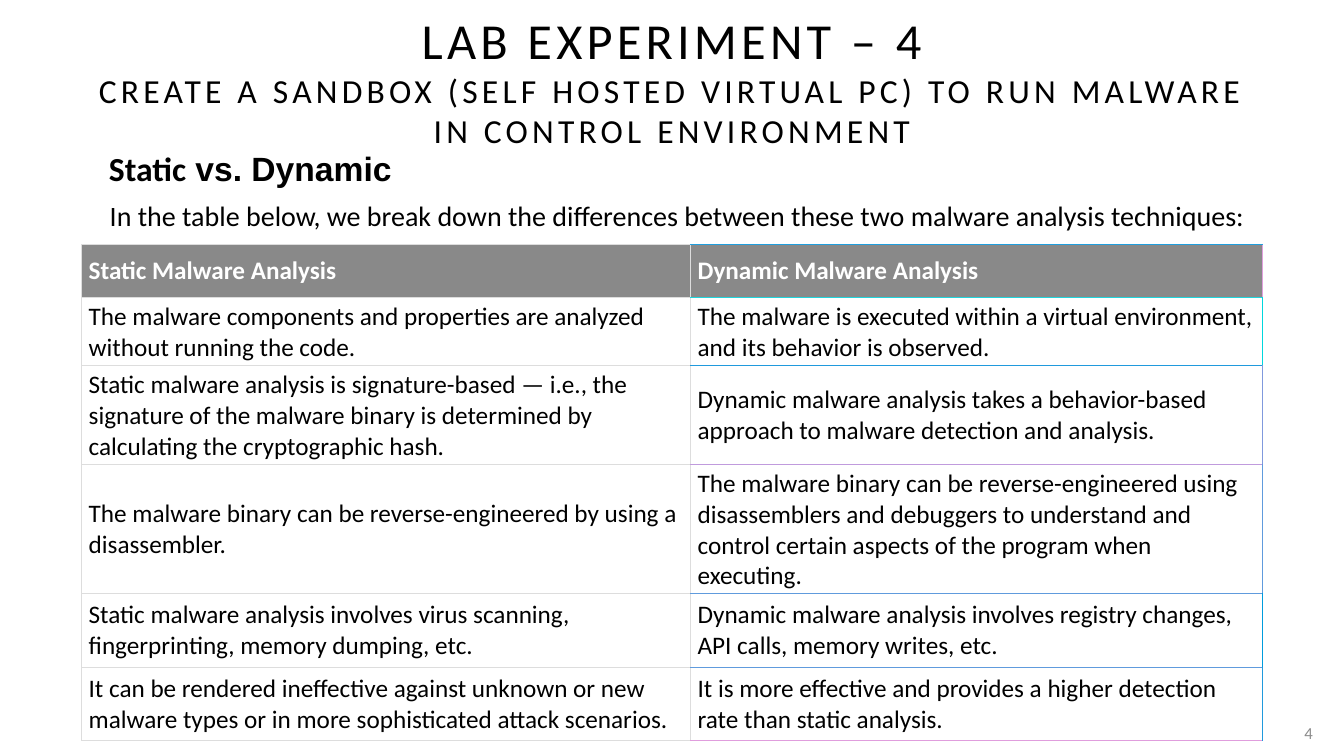
"""Build the slide comparing static and dynamic malware analysis."""
from lxml import etree
from pptx import Presentation
from pptx import util as u
from pptx.dml.color import RGBColor
from pptx.enum import text
from pptx.oxml import ns

BLACK = RGBColor(0x00, 0x00, 0x00)
WHITE = RGBColor(0xFF, 0xFF, 0xFF)
HEADER_GRAY = RGBColor(0x89, 0x89, 0x89)
NUMBER_GRAY = RGBColor(0x8C, 0x8C, 0x8C)
RULE_GRAY = RGBColor(0xDD, 0xDD, 0xDD)

TITLE = [
    ("LAB EXPERIMENT – 4", 36),
    ("CREATE A SANDBOX (SELF HOSTED VIRTUAL PC) TO RUN MALWARE IN CONTROL ENVIRONMENT", 24),
]
HEADING = [("Static", "Calibri"), (" vs. Dynamic", "Arial")]
INTRO = "In the table below, we break down the differences between these two malware analysis techniques:"
PAGE = "4"
ROWS = [
    ("Static Malware Analysis", "Dynamic Malware Analysis"),
    ("The malware components and properties are analyzed without running the code.",
     "The malware is executed within a virtual environment, and its behavior is observed."),
    ("Static malware analysis is signature-based — i.e., the signature of the malware binary "
     "is determined by calculating the cryptographic hash.",
     "Dynamic malware analysis takes a behavior-based approach to malware detection and analysis."),
    ("The malware binary can be reverse-engineered by using a disassembler.",
     "The malware binary can be reverse-engineered using disassemblers and debuggers to "
     "understand and control certain aspects of the program when executing."),
    ("Static malware analysis involves virus scanning, fingerprinting, memory dumping, etc.",
     "Dynamic malware analysis involves registry changes, API calls, memory writes, etc."),
    ("It can be rendered ineffective against unknown or new malware types or in more "
     "sophisticated attack scenarios.",
     "It is more effective and provides a higher detection rate than static analysis."),
]
COL_WIDTHS = [6.04, 5.67]
ROW_HEIGHTS = [0.52, 0.62, 0.97, 1.2, 0.73, 0.73]
DYNAMIC_RULES = [RGBColor.from_string(c) for c in
                 ("209EDD", "20D6DD", "209ADD", "C09BDD", "609BDD", "609BDD", "E09DDD")]
DYNAMIC_SIDES = [RGBColor.from_string(c) for c in
                 ("E09EDD", "00D7DD", "8099DD", "609BDD", "009CDD", "209ADD")]


def set_font(font, size, color=BLACK, bold=False, name="Calibri"):
    font.name, font.size, font.bold = name, u.Pt(size), bold
    font.color.rgb = color


def add_box(s, left, top, width, height, anchor=text.MSO_ANCHOR.MIDDLE):
    tf = s.shapes.add_textbox(*map(u.Inches, (left, top, width, height))).text_frame
    tf.word_wrap = True
    tf.vertical_anchor = anchor
    return tf


def add_line(s, box, content, size, color=BLACK, align=text.PP_ALIGN.LEFT):
    p = add_box(s, *box).paragraphs[0]
    p.text, p.alignment = content, align
    set_font(p.font, size, color)


def set_borders(cell, left, right, top, bottom):
    tc_pr = cell._tc.get_or_add_tcPr()
    for tag, color in zip(("a:lnL", "a:lnR", "a:lnT", "a:lnB"), (left, right, top, bottom)):
        ln = etree.SubElement(tc_pr, ns.qn(tag), w=str(u.Pt(0.75)))
        fill = etree.SubElement(ln, ns.qn("a:solidFill"))
        etree.SubElement(fill, ns.qn("a:srgbClr"), val=str(color))


def add_title(s):
    tf = add_box(s, 0.65, 0.15, 12.03, 1.77, text.MSO_ANCHOR.BOTTOM)
    tf.margin_bottom = u.Inches(0.43)
    for i, (line, size) in enumerate(TITLE):
        p = tf.add_paragraph() if i else tf.paragraphs[0]
        p.alignment = text.PP_ALIGN.CENTER
        r = p.add_run()
        r.text = line
        set_font(r.font, size)
        r.font._element.set("spc", "300")


def add_heading(s):
    tf = add_box(s, 0.89, 1.42, 6.66, 0.5, text.MSO_ANCHOR.TOP)
    tf.margin_left = u.Inches(0.19)
    for words, name in HEADING:
        r = tf.paragraphs[0].add_run()
        r.text = words
        set_font(r.font, 24, bold=True, name=name)


def add_comparison(s):
    size = (sum(COL_WIDTHS), sum(ROW_HEIGHTS))
    table = s.shapes.add_table(len(ROWS), len(COL_WIDTHS),
                               *map(u.Inches, (0.81, 2.43, *size))).table
    table.horz_banding = False
    for col, width in zip(table.columns, COL_WIDTHS):
        col.width = u.Inches(width)
    for i, (row, height) in enumerate(zip(ROWS, ROW_HEIGHTS)):
        table.rows[i].height = u.Inches(height)
        header = i == 0
        for j, content in enumerate(row):
            cell = table.cell(i, j)
            cell.text = content
            cell.vertical_anchor = text.MSO_ANCHOR.MIDDLE
            cell.margin_left = cell.margin_right = u.Inches(0.07)
            cell.margin_top = cell.margin_bottom = u.Inches(0.09 if header else 0.04)
            set_font(cell.text_frame.paragraphs[0].font, 18, WHITE if header else BLACK, header)
            if j:
                set_borders(cell, RULE_GRAY, DYNAMIC_SIDES[i], *DYNAMIC_RULES[i:i + 2])
            else:
                set_borders(cell, *[RULE_GRAY] * 4)
            if header:
                cell.fill.solid()
                cell.fill.fore_color.rgb = HEADER_GRAY
            else:
                cell.fill.background()


def main():
    prs = Presentation()
    prs.slide_width, prs.slide_height = u.Inches(13.33), u.Inches(7.5)
    s = prs.slides.add_slide(prs.slide_layouts[6])
    add_title(s)
    add_line(s, (12.63, 7.07, 0.49, 0.4), PAGE, 12, NUMBER_GRAY, text.PP_ALIGN.RIGHT)
    add_heading(s)
    add_comparison(s)
    add_line(s, (0.99, 1.92, 12, 0.44), INTRO, 20)
    prs.save("out.pptx")


if __name__ == "__main__":
    main()
